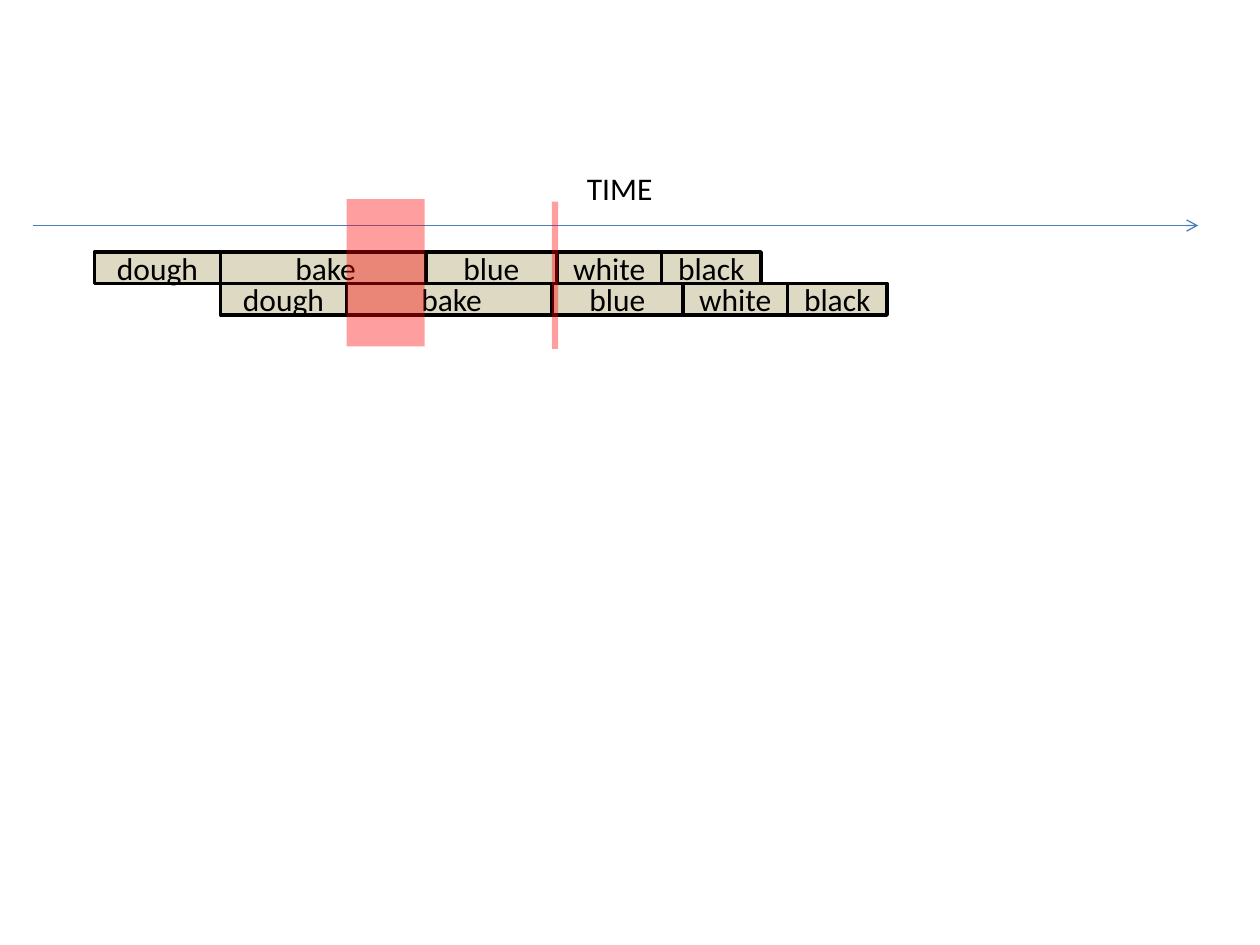
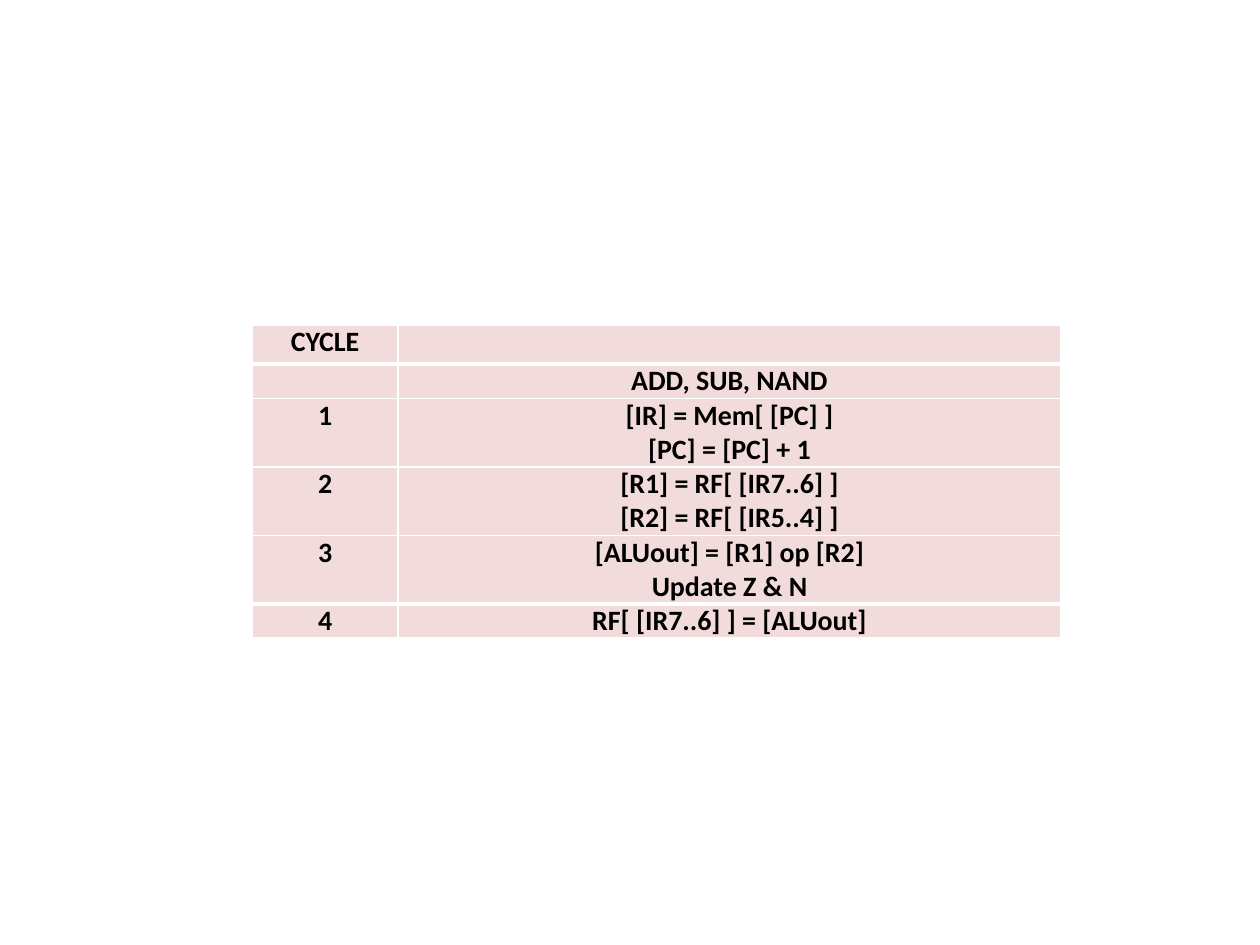
import pptx
import pptx.dml.color
import pptx.enum.shapes
import pptx.enum.text
import pptx.oxml.ns
import pptx.util
from lxml import etree

Inches = pptx.util.Inches
Pt = pptx.util.Pt
RGBColor = pptx.dml.color.RGBColor
RECTANGLE = pptx.enum.shapes.MSO_SHAPE.RECTANGLE
CENTER = pptx.enum.text.PP_ALIGN.CENTER
MIDDLE = pptx.enum.text.MSO_ANCHOR.MIDDLE

BLACK = RGBColor(0x00, 0x00, 0x00)
WHITE = RGBColor(0xFF, 0xFF, 0xFF)
AXIS_BLUE = RGBColor(0x4B, 0x7E, 0xBC)
STAGE_TAN = RGBColor(0xDD, 0xD9, 0xC3)
CONFLICT_RED = RGBColor(0xFF, 0x00, 0x00)
CELL_PINK = RGBColor(0xF2, 0xDC, 0xDB)

LABEL_FONT = {"name": "Calibri", "size": Pt(18)}
CELL_FONT = {"name": "Calibri", "size": Pt(16), "bold": True}

# Stage name, start after the batch begins, width
STAGES = [
    ("dough", 0, 1),
    ("bake", 1, 1.67),
    ("blue", 2.63, 1.04),
    ("white", 3.67, 0.83),
    ("black", 4.5, 0.79),
]
BATCH_COUNT = 2
FIRST_BATCH_LEFT, FIRST_BATCH_TOP = 0.75, 2
BATCH_DELAY = 1
STAGE_HEIGHT = 0.25

# Left, top, width of the times when both batches need the same stage
CONFLICTS = [(2.75, 1.58, 0.62), (4.38, 1.6, 0.05)]
CONFLICT_HEIGHT = 1.17
CONFLICT_ALPHA = 38

# Cycle and the lines of its operation
CYCLES = [
    ("CYCLE", [""]),
    ("", ["ADD, SUB, NAND"]),
    ("1", ["[IR] = Mem[ [PC] ]", "[PC] = [PC] + 1"]),
    ("2", ["[R1] = RF[ [IR7..6] ]", "[R2] = RF[ [IR5..4] ]"]),
    ("3", ["[ALUout] = [R1] op [R2]", "Update Z & N"]),
    ("4", ["RF[ [IR7..6] ] = [ALUout]"]),
]
COLUMN_WIDTHS = [1.16, 5.26]
HEADER_HEIGHT, LINE_HEIGHT = 0.31, 0.27
THICK_RULES = {1, len(CYCLES) - 1}  # rows with a thick rule above them


def add_element(parent, tag, **attributes):
    return etree.SubElement(parent, pptx.oxml.ns.qn(tag), attributes)


def write(para, text, font_format):
    span = para.add_run()
    span.text = text
    for name, value in font_format.items():
        setattr(span.font, name, value)
    span.font.color.rgb = BLACK


def add_box(page, left, top, width, height, color):
    box = page.shapes.add_shape(
        RECTANGLE, Inches(left), Inches(top), Inches(width), Inches(height))
    box.shadow.inherit = False
    box.fill.solid()
    box.fill.fore_color.rgb = color
    return box


def add_time_axis(page):
    axis = page.shapes.add_connector(
        pptx.enum.shapes.MSO_CONNECTOR.STRAIGHT,
        Inches(0.26), Inches(1.79), Inches(9.51), Inches(1.79))
    axis.line.color.rgb = AXIS_BLUE
    axis.line.width = Pt(0.75)
    add_element(axis.line._get_or_add_ln(), "a:tailEnd", type="arrow")
    add_element(axis._element.spPr, "a:effectLst")

    label = page.shapes.add_textbox(
        Inches(4.56), Inches(1.29), Inches(0.73), Inches(0.4))
    label.text_frame.word_wrap = False
    write(label.text_frame.paragraphs[0], "TIME", LABEL_FONT)


def add_batch(page, index):
    left = FIRST_BATCH_LEFT + index * BATCH_DELAY
    top = FIRST_BATCH_TOP + index * STAGE_HEIGHT
    for name, start, width in STAGES:
        box = add_box(page, left + start, top, width, STAGE_HEIGHT, STAGE_TAN)
        box.line.color.rgb = BLACK
        box.line.width = Pt(2)
        box.text_frame.vertical_anchor = MIDDLE
        para = box.text_frame.paragraphs[0]
        para.alignment = CENTER
        write(para, name, LABEL_FONT)


def add_conflict(page, left, top, width):
    box = add_box(page, left, top, width, CONFLICT_HEIGHT, CONFLICT_RED)
    box.line.fill.background()
    color = box._element.spPr.find(".//" + pptx.oxml.ns.qn("a:srgbClr"))
    add_element(color, "a:alpha", val=str(CONFLICT_ALPHA * 1000))


def set_borders(cell, row):
    properties = cell._tc.get_or_add_tcPr()
    widths = {
        "L": 1,
        "R": 1,
        "T": 3 if row in THICK_RULES else 1,
        "B": 3 if row + 1 in THICK_RULES else 1,
    }
    for side, width in widths.items():
        border = add_element(properties, f"a:ln{side}", w=str(Pt(width)))
        fill = add_element(border, "a:solidFill")
        add_element(fill, "a:srgbClr", val=str(WHITE))


def fill_cell(cell, row, lines):
    set_borders(cell, row)
    cell.fill.solid()
    cell.fill.fore_color.rgb = CELL_PINK
    cell.margin_left = cell.margin_right = Inches(0.07)
    cell.margin_top = cell.margin_bottom = 0
    for index, line in enumerate(lines):
        frame = cell.text_frame
        para = frame.add_paragraph() if index else frame.paragraphs[0]
        para.alignment = CENTER
        if line:
            write(para, line, CELL_FONT)
        else:
            add_element(para._p, "a:endParaRPr", sz="1600")


def add_cycle_table(page):
    heights = [HEADER_HEIGHT] + [LINE_HEIGHT * len(lines) for _, lines in CYCLES[1:]]
    frame = page.shapes.add_table(
        len(CYCLES), len(COLUMN_WIDTHS), Inches(2), Inches(2.58),
        Inches(sum(COLUMN_WIDTHS)), Inches(sum(heights)))
    table = frame.table
    table.first_row = table.horz_banding = False
    for column, width in zip(table.columns, COLUMN_WIDTHS):
        column.width = Inches(width)
    for row, (cycle, lines) in enumerate(CYCLES):
        table.rows[row].height = Inches(heights[row])
        fill_cell(table.cell(row, 0), row, [cycle])
        fill_cell(table.cell(row, 1), row, lines)


def main():
    deck = pptx.Presentation()
    deck.slide_width, deck.slide_height = Inches(10), Inches(7.5)
    blank = deck.slide_layouts[6]

    pipeline_page = deck.slides.add_slide(blank)
    add_time_axis(pipeline_page)
    for index in range(BATCH_COUNT):
        add_batch(pipeline_page, index)
    for conflict in CONFLICTS:
        add_conflict(pipeline_page, *conflict)

    add_cycle_table(deck.slides.add_slide(blank))
    deck.save("out.pptx")


if __name__ == "__main__":
    main()
